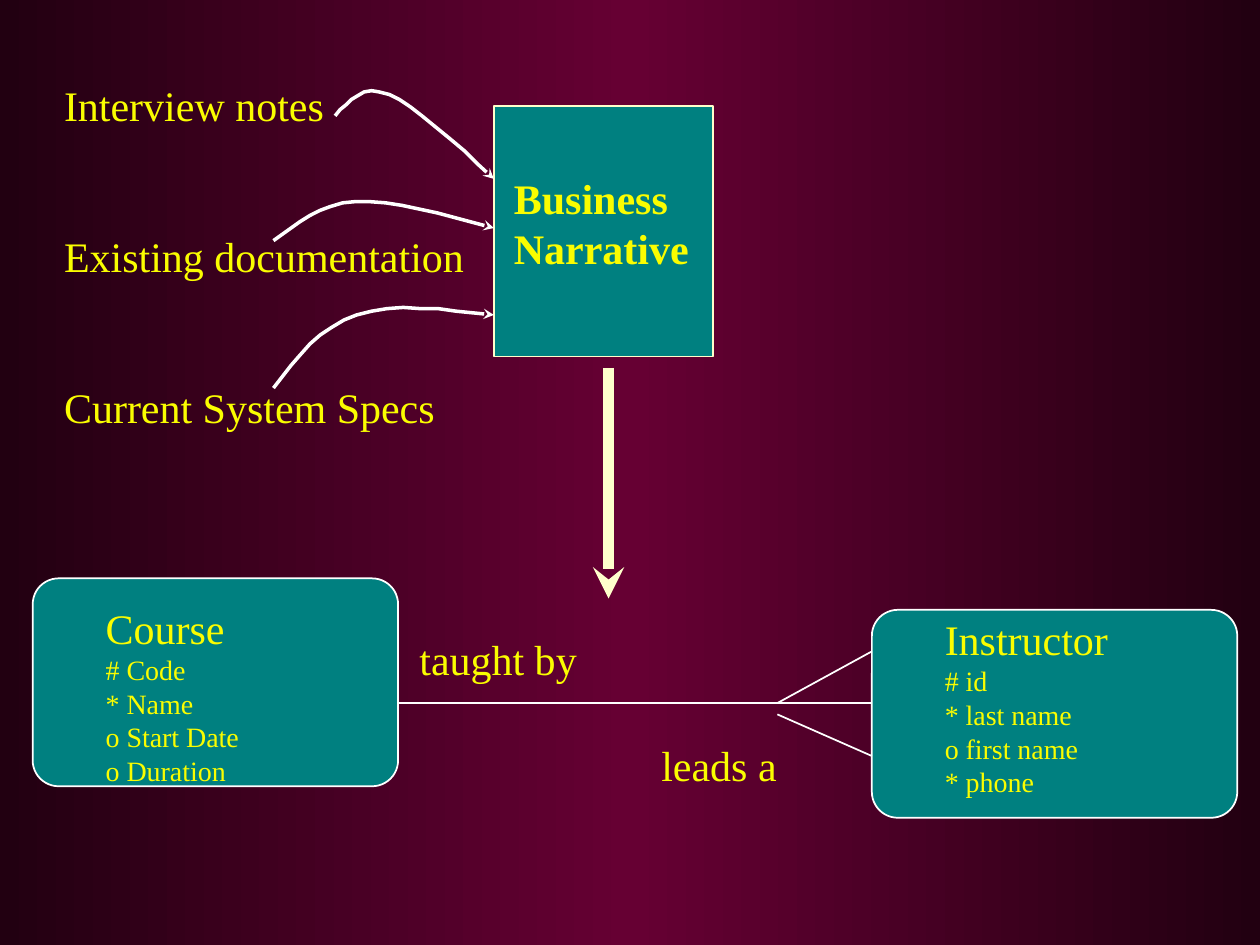
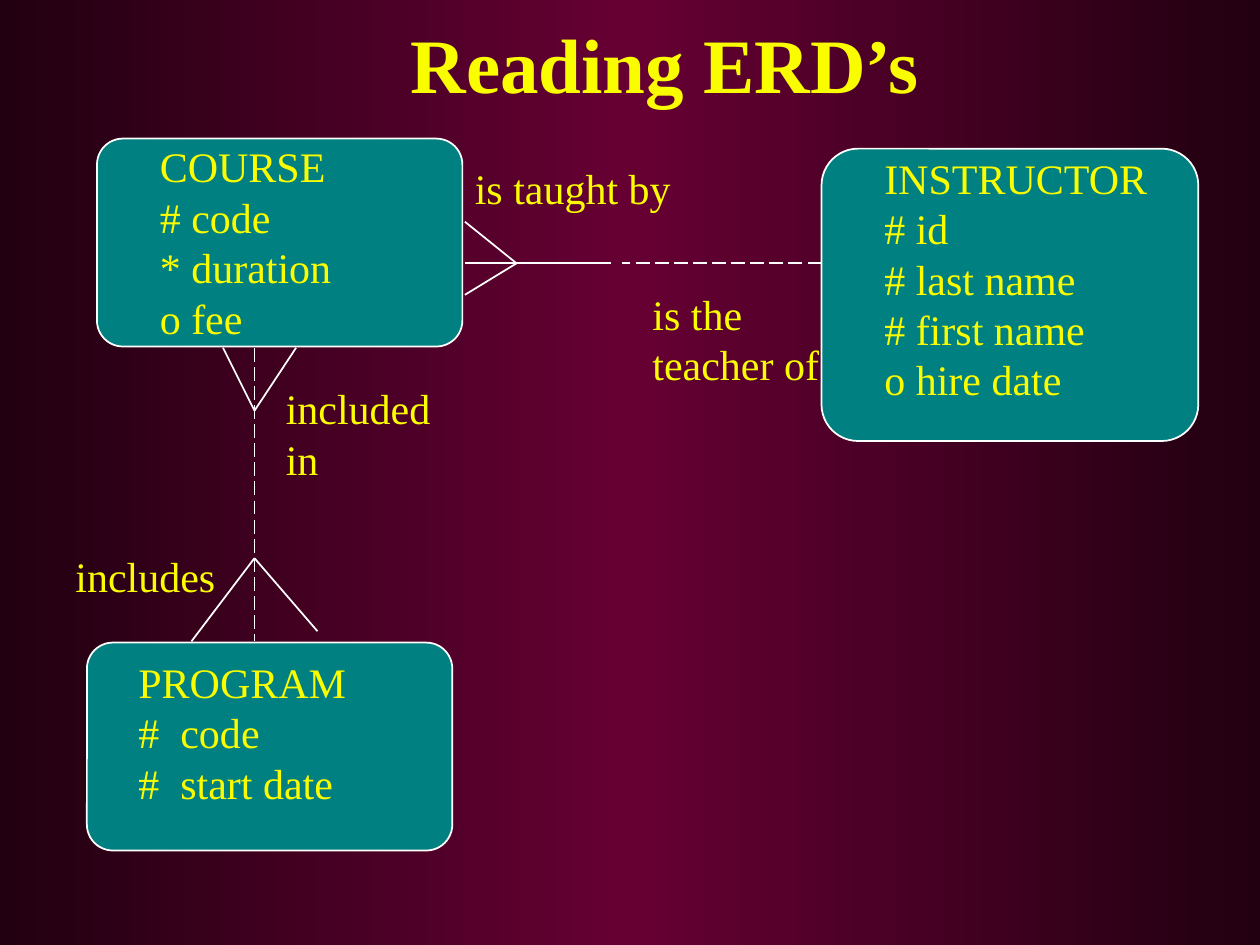
from copy import deepcopy
from pptx import Presentation
from pptx.dml.color import RGBColor
from pptx.enum.dml import MSO_LINE
from pptx.enum.shapes import MSO_CONNECTOR, MSO_SHAPE
from pptx.enum.text import MSO_AUTO_SIZE, PP_ALIGN
from pptx.oxml.ns import qn
from pptx.util import Inches, Pt
from lxml.etree import SubElement

# Shared style
HUES = {"edge": "220011", "mid": "660033", "teal": "008080",
        "cream": "FFFFCC", "white": "FFFFFF", "text": "FAFD00"}
FONT = "Times New Roman"
BODY, SMALL, TITLE = 24, 16, 44
ROUND = 0.125

# Slide 1: from notes to a diagram
STORY = (3.92, 0.84, 1.74, 1.99)
FLOW = ((4.83, 2.92), (4.83, 4.75))
NOTES = ["Interview notes", "Existing documentation", "Current System Specs"]
CURVES = [
    [(2.66, 0.92), (2.7, 0.87), (2.75, 0.83), (2.79, 0.79), (2.84, 0.76),
     (2.89, 0.73), (2.95, 0.72), (3.01, 0.73), (3.09, 0.75), (3.17, 0.79),
     (3.26, 0.85), (3.35, 0.92), (3.46, 1.01), (3.57, 1.1), (3.69, 1.2),
     (3.8, 1.31), (3.92, 1.42)],
    [(2.17, 1.91), (2.31, 1.81), (2.38, 1.76), (2.46, 1.71), (2.54, 1.67),
     (2.62, 1.64), (2.72, 1.61), (2.82, 1.6), (2.93, 1.6), (3.06, 1.61),
     (3.19, 1.63), (3.33, 1.66), (3.47, 1.69), (3.62, 1.73), (3.92, 1.81)],
    [(2.17, 3.08), (2.31, 2.9), (2.38, 2.82), (2.46, 2.73), (2.54, 2.66),
     (2.63, 2.6), (2.73, 2.54), (2.83, 2.5), (2.95, 2.47), (3.07, 2.45),
     (3.2, 2.44), (3.34, 2.45), (3.48, 2.45), (3.62, 2.47), (3.92, 2.5)],
]

# Diagrams: box places, plain and dashed links, texts with their places
DRAFT = {
    "boxes": [(0.26, 4.59, 2.9, 1.65), (6.92, 4.84, 2.9, 1.65)],
    "links": [((3.17, 5.58), (6.92, 5.58)), ((6.17, 5.58), (6.92, 5.17)),
              ((6.17, 5.67), (6.92, 6))],
    "dashes": [],
    "lists": [
        (["Course", "# Code", "* Name", "o Start Date", "o Duration"],
         (0.74, 4.73, 1.26, 1.57)),
        (["Instructor", "# id", "* last name", "o first name", "* phone"],
         (7.4, 4.82, 1.5, 1.57)),
    ],
    "labels": [(["taught by"], (3.23, 4.98, 1.45, 0.5)),
               (["leads a"], (5.15, 5.82, 1.12, 0.5))],
    "rest": SMALL,
}
MODEL = {
    "boxes": [(0.77, 1.1, 2.9, 1.65), (6.52, 1.18, 2.99, 2.32),
              (0.69, 5.1, 2.9, 1.65)],
    "links": [((4.85, 2.09), (3.69, 2.09)), ((3.69, 1.76), (4.1, 2.09)),
              ((4.1, 2.09), (3.69, 2.34)), ((1.77, 2.76), (2.02, 3.26)),
              ((2.02, 3.26), (2.35, 2.76)), ((2.02, 4.43), (1.52, 5.09)),
              ((2.02, 4.43), (2.52, 5.01))],
    "dashes": [((6.52, 2.09), (4.94, 2.09)), ((2.02, 2.76), (2.02, 5.09))],
    "lists": [
        (["COURSE", "# code", "* duration", "o fee"], (1.17, 1.07, 1.56, 1.7)),
        (["INSTRUCTOR", "# id", "# last name", "# first name", "o hire date"],
         (6.92, 1.16, 2.3, 2.1)),
        (["PROGRAM", "#  code", "#  start date"], (1, 5.16, 1.85, 1.3)),
    ],
    "labels": [(["is taught by"], (3.67, 1.24, 1.76, 0.5)),
               (["is the", "teacher of"], (5.08, 2.24, 1.53, 0.9)),
               (["included", "in"], (2.17, 2.99, 1.35, 0.9)),
               (["includes"], (0.5, 4.32, 1.31, 0.5))],
    "rest": BODY,
}


def tint(name):
    return RGBColor.from_string(HUES[name])


def inch(nums):
    return [Inches(n) for n in nums]


def stroke(line, hue, width):
    line.color.rgb = tint(hue)
    line.width = Pt(width)


def point(line):
    """Put a stealth arrowhead at the end of a line."""
    SubElement(line._get_or_add_ln(), qn("a:tailEnd"), type="stealth")


def paint(master):
    """Fill the background from edge to middle to edge."""
    fill = master.background.fill
    fill.gradient()
    fill.gradient_angle = 180
    first = next(master.element.iter(qn("a:gs")))
    first.addnext(deepcopy(first))
    for stop, (pos, hue) in zip(fill.gradient_stops,
                                [(0, "edge"), (0.5, "mid"), (1, "edge")]):
        stop.position = pos
        stop.color.rgb = tint(hue)


def box(slide, place, kind=MSO_SHAPE.ROUNDED_RECTANGLE, edge="white"):
    shape = slide.shapes.add_shape(kind, *inch(place))
    shape.shadow.inherit = False
    shape.fill.solid()
    shape.fill.fore_color.rgb = tint("teal")
    stroke(shape.line, edge, 1)
    if kind == MSO_SHAPE.ROUNDED_RECTANGLE:
        shape.adjustments[0] = ROUND


def link(slide, ends, hue="white", width=1):
    start, end = ends
    wire = slide.shapes.add_connector(
        MSO_CONNECTOR.STRAIGHT, *inch(start + end))
    stroke(wire.line, hue, width)
    SubElement(wire._element.spPr, qn("a:effectLst"))
    return wire


def curve(slide, dots):
    start, *others = [inch(dot) for dot in dots]
    pen = slide.shapes.build_freeform(*start)
    pen.add_line_segments(others, close=False)
    shape = pen.convert_to_shape()
    shape.shadow.inherit = False
    shape.fill.background()
    stroke(shape.line, "white", 2)
    point(shape.line)


def write(slide, lines, place, size=BODY, rest=None, bold=False, gap=0):
    """Write lines; rest is the size after the first, gap the space between."""
    frame = slide.shapes.add_textbox(*inch(place)).text_frame
    frame.text = "\n".join(lines)
    frame.word_wrap = False
    frame.auto_size = MSO_AUTO_SIZE.SHAPE_TO_FIT_TEXT
    for i, para in enumerate(frame.paragraphs):
        para.alignment = PP_ALIGN.LEFT
        if i and gap:
            para.space_before = Pt(gap)
        for run in para.runs:
            run.font.name = FONT
            run.font.size = Pt(rest if i and rest else size)
            run.font.bold = bold
            run.font.color.rgb = tint("text")


def chart(slide, parts):
    """Draw an entity diagram."""
    for place in parts["boxes"]:
        box(slide, place)
    for ends in parts["links"]:
        link(slide, ends)
    for ends in parts["dashes"]:
        link(slide, ends).line.dash_style = MSO_LINE.LONG_DASH
    for lines, place in parts["lists"]:
        write(slide, lines, place, rest=parts["rest"])
    for lines, place in parts["labels"]:
        write(slide, lines, place)


def main():
    deck = Presentation()
    deck.slide_width, deck.slide_height = Inches(10), Inches(7.5)
    paint(deck.slide_master)
    blank = deck.slide_layouts[6]

    # Slide 1
    slide = deck.slides.add_slide(blank)
    box(slide, STORY, MSO_SHAPE.RECTANGLE, "cream")
    write(slide, ["Business", "Narrative"], (3.98, 1.32, 1.59, 0.9), bold=True)
    write(slide, NOTES, (0.41, 0.58, 3.38, 2.9), gap=57.5)
    point(link(slide, FLOW, "cream", 6).line)
    chart(slide, DRAFT)
    for dots in CURVES:
        curve(slide, dots)

    # Slide 2
    slide = deck.slides.add_slide(blank)
    chart(slide, MODEL)
    write(slide, ["Reading ERD’s"], (3.16, 0.08, 4.26, 0.83), TITLE, bold=True)

    deck.save("out.pptx")


if __name__ == "__main__":
    main()
